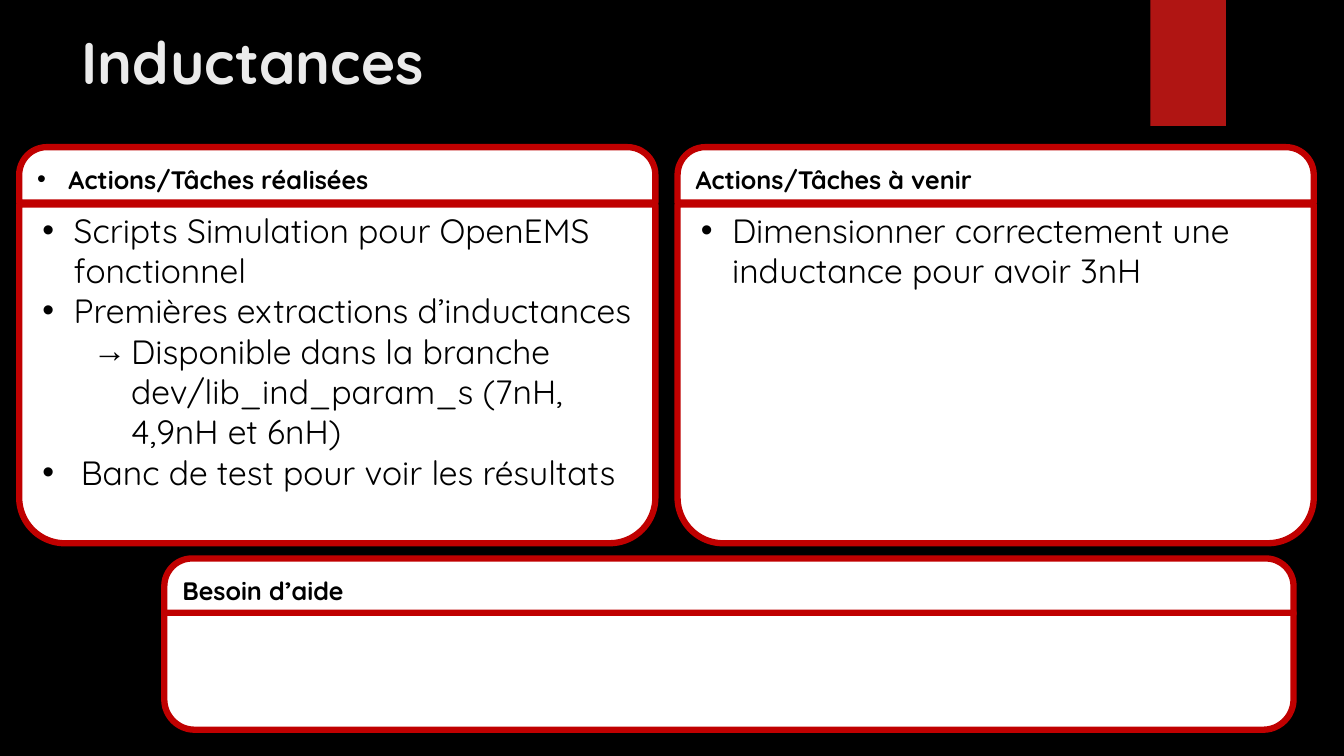
"""Build the Inductances progress slide."""
from lxml import etree
from pptx import Presentation
from pptx.dml.color import RGBColor
from pptx.enum.shapes import MSO_SHAPE
from pptx.enum.text import MSO_ANCHOR, PP_ALIGN
from pptx.oxml.ns import qn
from pptx.util import Inches, Pt

RECTANGLE = MSO_SHAPE.RECTANGLE
ROUNDED_PAIR = MSO_SHAPE.ROUND_2_SAME_RECTANGLE
TOP, MIDDLE = MSO_ANCHOR.TOP, MSO_ANCHOR.MIDDLE
LEFT = PP_ALIGN.LEFT


def color(value):
    return RGBColor.from_string(value)


class SlideBuilder:
    font = "Quicksand"
    black, white, border = "000000", "FFFFFF", "C00000"
    accent, title_color = "B01513", "EBEBEB"
    header_height = 0.55

    def __init__(self, slide):
        self.slide = slide
        slide.background.fill.solid()
        slide.background.fill.fore_color.rgb = color(self.black)

    def add_text(self, paragraph, text, size, text_color, bold=False, bullet=None):
        paragraph.alignment = LEFT
        if bullet:
            symbol, margin, hanging, level = bullet
            paragraph.level = level
            properties = paragraph._p.get_or_add_pPr()
            properties.set("marL", str(Inches(margin)))
            properties.set("indent", str(-Inches(hanging)))
            etree.SubElement(properties, qn("a:buFont")).set("typeface", "Arial")
            etree.SubElement(properties, qn("a:buChar")).set("char", symbol)
        run = paragraph.add_run()
        run.text = text
        run.font.name = self.font
        run.font.size = Pt(size)
        run.font.bold = bold
        run.font.color.rgb = color(text_color)

    def title(self, text, left, top, width, height):
        box = self.slide.shapes.add_textbox(
            Inches(left), Inches(top), Inches(width), Inches(height))
        box.text_frame.word_wrap = True
        self.add_text(box.text_frame.paragraphs[0], text, 42, self.title_color, True)

    def block(self, kind, left, top, width, height, fill):
        shape = self.slide.shapes.add_shape(
            kind, Inches(left), Inches(top), Inches(width), Inches(height))
        shape.shadow.inherit = False
        shape.fill.solid()
        shape.fill.fore_color.rgb = color(fill)
        shape.line.fill.background()
        return shape

    def panel_part(self, left, top, width, height, corners, anchor):
        shape = self.block(ROUNDED_PAIR, left, top, width, height, self.white)
        shape.adjustments[0], shape.adjustments[1] = corners
        shape.line.color.rgb = color(self.border)
        shape.line.width = Pt(4.5)
        shape.text_frame.word_wrap = True
        shape.text_frame.vertical_anchor = anchor
        return shape.text_frame

    def panel(self, heading, left, top, width, body_top, body_height,
              corner, items=(), heading_bullet=None):
        header = self.panel_part(
            left, top, width, self.header_height, (0.5, 0), MIDDLE)
        self.add_text(header.paragraphs[0], heading, 18, self.black, True, heading_bullet)
        body = self.panel_part(
            left, body_top, width, body_height, (0, corner), TOP)
        for index, (text, bullet) in enumerate(items):
            paragraph = body.add_paragraph() if index else body.paragraphs[0]
            self.add_text(paragraph, text, 24, self.black, bullet=bullet)


def main():
    presentation = Presentation()
    presentation.slide_width = Inches(13.33)
    presentation.slide_height = Inches(7.5)
    builder = SlideBuilder(
        presentation.slides.add_slide(presentation.slide_layouts[6]))

    dot = ("•", 0.31, 0.31, 0)
    wide_dot = ("•", 0.38, 0.38, 0)
    arrow = ("→", 0.88, 0.38, 1)
    done = [
        ("Scripts Simulation pour OpenEMS fonctionnel", dot),
        ("Premières extractions d’inductances", dot),
        ("Disponible dans la branche dev/lib_ind_param_s (7nH, 4,9nH et 6nH)", arrow),
        ("Banc de test pour voir les résultats", wide_dot),
    ]
    upcoming = [("Dimensionner correctement une inductance pour avoir 3nH", dot)]

    builder.block(RECTANGLE, 11.41, 0, 0.75, 1.25, builder.accent)
    builder.title("Inductances", 0.71, 0.21, 10.29, 1.53)
    builder.panel("Actions/Tâches réalisées", 0.19, 1.46, 6.31, 2.03, 3.36,
                  0.135, done, dot)
    builder.panel("Actions/Tâches à venir", 6.72, 1.46, 6.31, 2.03, 3.36,
                  0.135, upcoming)
    builder.panel("Besoin d’aide", 1.63, 5.54, 11.2, 6.08, 1.16, 0.26)
    presentation.save("out.pptx")


if __name__ == "__main__":
    main()
